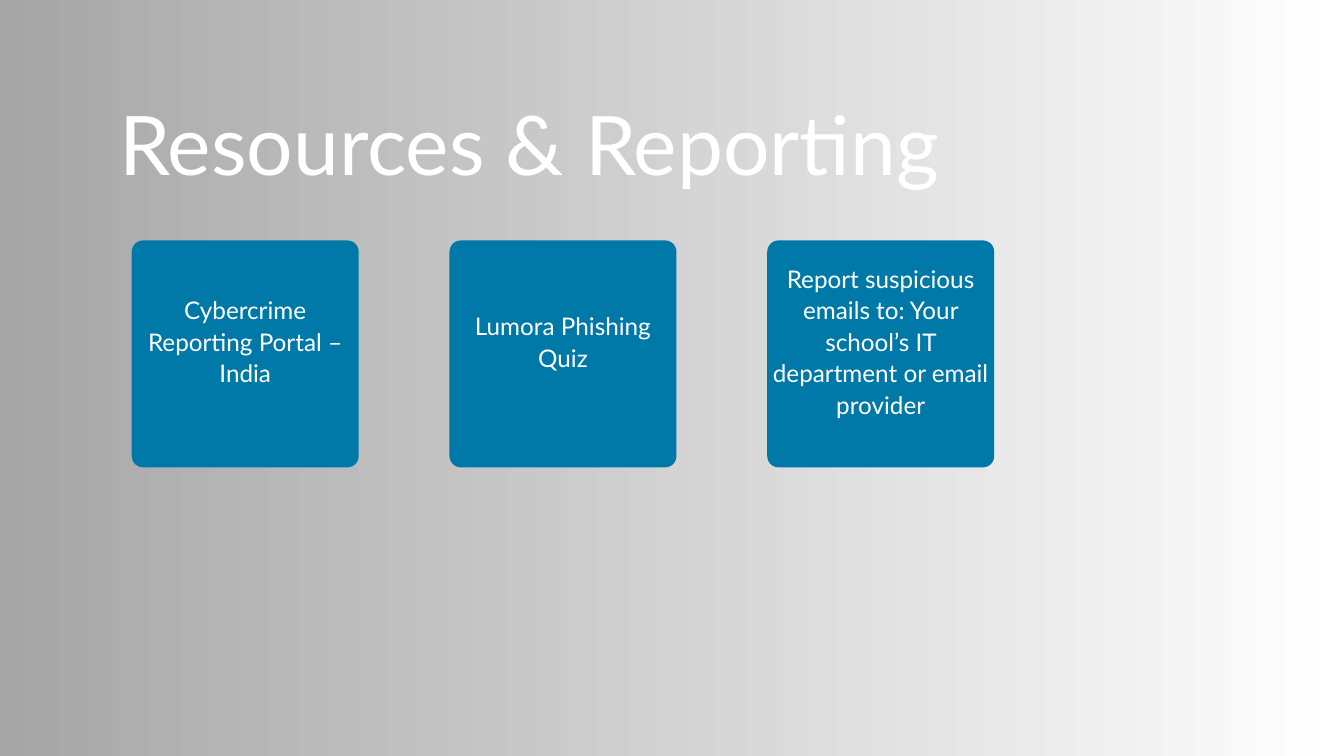
import pptx
import pptx.util
import pptx.dml.color
import pptx.enum.shapes
import pptx.enum.text

Cm = pptx.util.Cm
Pt = pptx.util.Pt
Align = pptx.enum.text.PP_ALIGN
Anchor = pptx.enum.text.MSO_ANCHOR

colors = {"gray": "A6A6A6", "white": "FFFFFF", "blue": "0079A9"}


def rgb(name):
    return pptx.dml.color.RGBColor.from_string(colors[name])


def add_text(shapes, text, box, size, line, inset=0, align=Align.LEFT,
             anchor=Anchor.TOP, color="white", font="Lato"):
    frame = shapes.add_textbox(*[Cm(v) for v in box]).text_frame
    frame.word_wrap = True
    frame.vertical_anchor = anchor
    frame.margin_left = frame.margin_right = Cm(inset)
    frame.margin_top = frame.margin_bottom = Cm(inset)
    para = frame.paragraphs[0]
    para.alignment = align
    para.line_spacing = Pt(line)
    run = para.add_run()
    run.text = text
    run.font.size = Pt(size)
    run.font.name = font
    run.font.color.rgb = rgb(color)


deck = pptx.Presentation()
deck.slide_width = Cm(50.8)
deck.slide_height = Cm(28.58)
slide = deck.slides.add_slide(deck.slide_layouts[6])

# Background fading from left to right
fill = slide.background.fill
fill.gradient()
fill.gradient_angle = 0
for stop, name, place in zip(fill.gradient_stops, ("gray", "white"), (0, 1)):
    stop.color.rgb = rgb(name)
    stop.position = place

# Title
add_text(slide.shapes, " Resources & Reporting", (3.71, 4.17, 41.55, 3.28),
         size=88, line=88)

# Row of cards
cards = [
    "Cybercrime Reporting Portal – India",
    "Lumora Phishing Quiz",
    "Report suspicious emails to: Your school’s IT department or email provider",
]
left, top, side, step = 4.98, 9.09, 8.58, 12.01
rise = 1.01  # the text box starts this far above its card

for i, text in enumerate(cards):
    x = left + i * step
    group = slide.shapes.add_group_shape()
    card = group.shapes.add_shape(
        pptx.enum.shapes.MSO_SHAPE.ROUNDED_RECTANGLE,
        Cm(x), Cm(top), Cm(side), Cm(side))
    card.adjustments[0] = 0.05
    card.shadow.inherit = False
    card.fill.solid()
    card.fill.fore_color.rgb = rgb("blue")
    card.line.fill.background()
    add_text(group.shapes, text, (x, top - rise, side, side + rise),
             size=26, line=33.8, inset=0.15,
             align=Align.CENTER, anchor=Anchor.MIDDLE)

deck.save("out.pptx")
